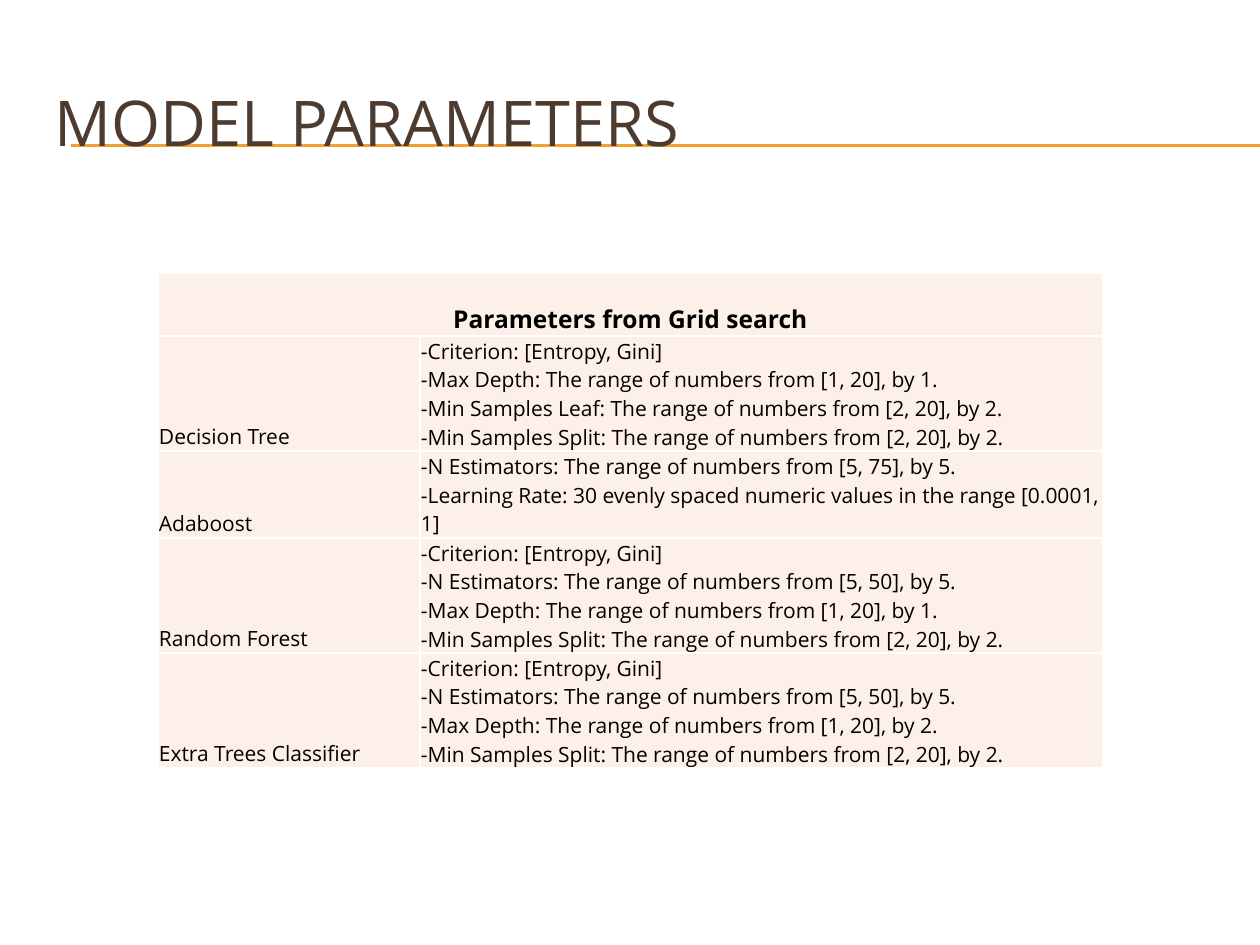
from lxml.etree import SubElement
from pptx import Presentation
from pptx.dml.color import RGBColor
from pptx.enum.shapes import MSO_CONNECTOR
from pptx.enum.text import MSO_ANCHOR, PP_ALIGN
from pptx.oxml.ns import qn
from pptx.util import Emu, Pt

PIXEL = 914400 // 126


def px(length):
    return Emu(length * PIXEL)


def color(code):
    return RGBColor.from_string(code)


class SlideBuilder:
    FONT = "Open Sans"
    TITLE, TEXT = "4E3B30", "000000"
    RULE, CELL, BORDER = "F0A22E", "FCF0E8", "FFFFFF"

    def __init__(self, slide):
        self.slide = slide

    def fill_text(self, frame, lines, size, code, bold=False, align=PP_ALIGN.LEFT):
        frame.word_wrap = True
        for index, line in enumerate(lines):
            para = frame.add_paragraph() if index else frame.paragraphs[0]
            para.text = line
            para.alignment = align
            para.font.name = self.FONT
            para.font.size = Pt(size)
            para.font.bold = bold
            para.font.color.rgb = color(code)

    def rule(self, left, right, y):
        line = self.slide.shapes.add_connector(
            MSO_CONNECTOR.STRAIGHT, px(left), px(y), px(right), px(y))
        line.line.color.rgb = color(self.RULE)
        line.line.width = Pt(0.75)
        SubElement(line._element.spPr, qn("a:effectLst"))

    def title(self, text, left, top, width, height):
        box = self.slide.shapes.add_textbox(px(left), px(top), px(width), px(height))
        box.text_frame.vertical_anchor = MSO_ANCHOR.MIDDLE
        self.fill_text(box.text_frame, [text], 36, self.TITLE)

    def borders(self, cell):
        properties = cell._tc.get_or_add_tcPr()
        for index, side in enumerate(("lnL", "lnR", "lnT", "lnB")):
            edge = properties.makeelement(qn(f"a:{side}"), {"w": str(Pt(1))})
            fill = SubElement(edge, qn("a:solidFill"))
            SubElement(fill, qn("a:srgbClr"), val=self.BORDER)
            properties.insert(index, edge)

    def cell(self, cell, lines, size=12, **style):
        cell.fill.solid()
        cell.fill.fore_color.rgb = color(self.CELL)
        cell.vertical_anchor = MSO_ANCHOR.BOTTOM
        cell.margin_left = cell.margin_right = cell.margin_top = px(1)
        cell.margin_bottom = 0
        self.borders(cell)
        self.fill_text(cell.text_frame, lines, size, self.TEXT, **style)

    def table(self, heading, models, left, top, widths, heights):
        table = self.slide.shapes.add_table(
            len(heights), len(widths), px(left), px(top),
            px(sum(widths)), px(sum(heights))).table
        for column, width in zip(table.columns, widths):
            column.width = px(width)
        for row, height in zip(table.rows, heights):
            row.height = px(height)
        table.cell(0, 0).merge(table.cell(0, 1))
        self.cell(table.cell(0, 0), [heading], 14, bold=True, align=PP_ALIGN.CENTER)
        for row, (model, parameters) in enumerate(models.items(), 1):
            self.cell(table.cell(row, 0), [model])
            self.cell(table.cell(row, 1), [f"-{item}" for item in parameters])


def number_range(name, low, high, step):
    return f"{name}: The range of numbers from [{low}, {high}], by {step}."


# Deck and page
deck = Presentation()
deck.slide_width, deck.slide_height = px(1260), px(945)
page = SlideBuilder(deck.slides.add_slide(deck.slide_layouts[6]))

# Title over its rules
for y in (145, 145, 146):
    page.rule(71, 1260, y)
page.title("MODEL PARAMETERS", 42, 63, 1197, 116)

# Grid search table
CRITERION = "Criterion: [Entropy, Gini]"
SPLIT = number_range("Min Samples Split", 2, 20, 2)
models = {
    "Decision Tree": [
        CRITERION,
        number_range("Max Depth", 1, 20, 1),
        number_range("Min Samples Leaf", 2, 20, 2),
        SPLIT,
    ],
    "Adaboost": [
        number_range("N Estimators", 5, 75, 5),
        "Learning Rate: 30 evenly spaced numeric values in the range [0.0001, 1]",
    ],
    "Random Forest": [
        CRITERION,
        number_range("N Estimators", 5, 50, 5),
        number_range("Max Depth", 1, 20, 1),
        SPLIT,
    ],
    "Extra Trees Classifier": [
        CRITERION,
        number_range("N Estimators", 5, 50, 5),
        number_range("Max Depth", 1, 20, 2),
        SPLIT,
    ],
}
page.table("Parameters from Grid search", models, 158, 273,
           widths=(262, 683), heights=(63, 115, 87, 115, 115))

deck.save("out.pptx")
